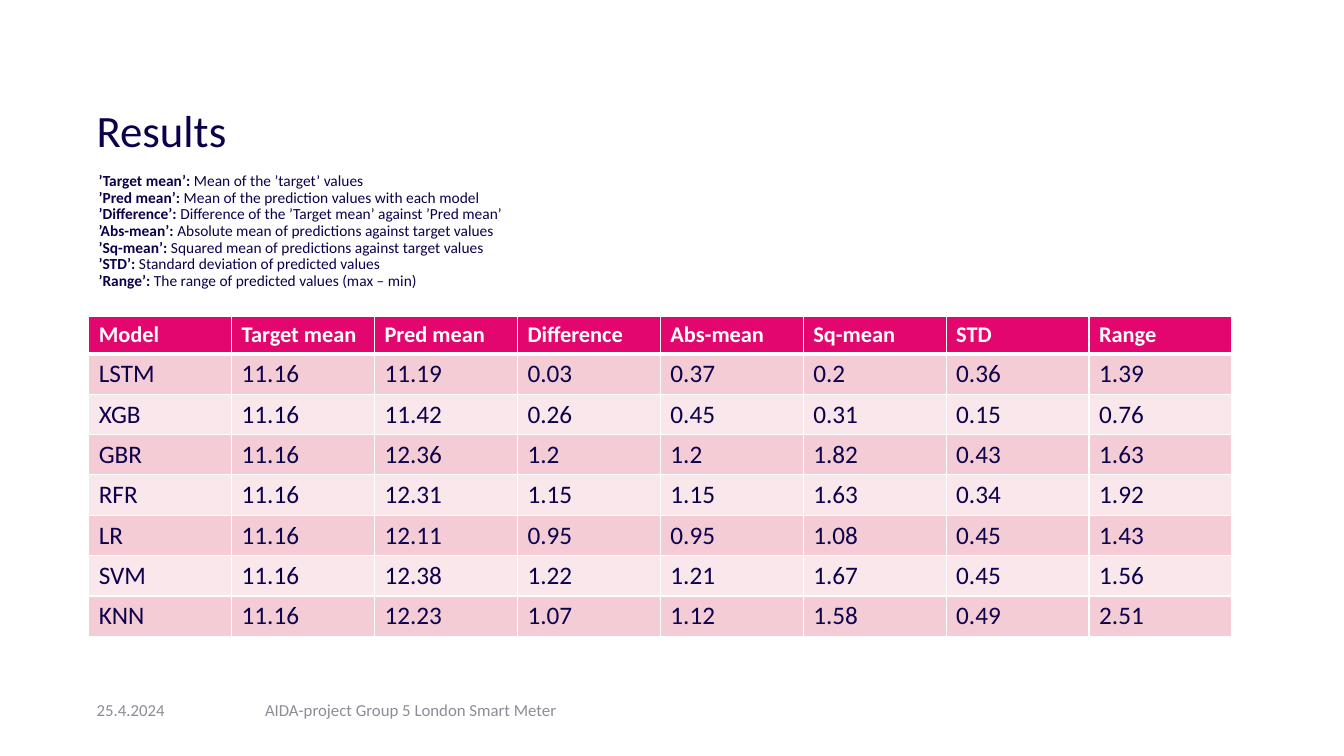
"""Build the results slide comparing the prediction models."""
from dataclasses import dataclass
from typing import NamedTuple

from lxml import etree
from pptx import Presentation
from pptx import util as u
from pptx.dml.color import RGBColor
from pptx.enum import text
from pptx.oxml import ns

NAVY = RGBColor(0x0D, 0x00, 0x4B)
GREY = RGBColor(0x8C, 0x8C, 0x96)
WHITE = RGBColor(0xFF, 0xFF, 0xFF)
MAGENTA = RGBColor(0xE2, 0x06, 0x6E)
ROSE = RGBColor(0xF4, 0xCC, 0xD5)
BLUSH = RGBColor(0xFA, 0xE7, 0xEB)
FONT = "Calibri"


@dataclass(frozen=True)
class Style:
    size: int
    color: RGBColor
    bold: bool = False


class Box(NamedTuple):
    left: float
    top: float
    width: float
    height: float


class Label(NamedTuple):
    wording: str
    box: Box
    style: Style
    line_spacing: float


class Definition(NamedTuple):
    term: str
    meaning: str


TITLE = Style(32, NAVY)
TERM = Style(11, NAVY, bold=True)
MEANING = Style(11, NAVY)
FOOTER = Style(12, GREY)
HEADING = Style(16, WHITE, bold=True)
VALUE = Style(18, NAVY)

LABELS = [
    Label("Results", Box(0.86, 0.96, 11.5, 0.71), TITLE, 0.9),
    Label("25.4.2024", Box(0.86, 6.82, 1.59, 0.44), FOOTER, 1.0),
    Label("AIDA-project Group 5 London Smart Meter", Box(2.53, 6.82, 6.09, 0.44), FOOTER, 1.0),
]

DEFINITIONS_BOX = Box(0.88, 1.67, 11.5, 4.63)
DEFINITIONS = [
    Definition("Target mean", "Mean of the ’target’ values"),
    Definition("Pred mean", "Mean of the prediction values with each model"),
    Definition("Difference", "Difference of the ’Target mean’ against ’Pred mean’"),
    Definition("Abs-mean", "Absolute mean of predictions against target values"),
    Definition("Sq-mean", "Squared mean of predictions against target values"),
    Definition("STD", "Standard deviation of predicted values"),
    Definition("Range", "The range of predicted values (max – min)"),
]

SCORES_BOX = Box(0.88, 3.14, 11.34, 3.17)
HEADING_HEIGHT = 0.37
MODEL_HEIGHT = 0.4
SCORES = [
    ["Model"] + [definition.term for definition in DEFINITIONS],
    ["LSTM", "11.16", "11.19", "0.03", "0.37", "0.2", "0.36", "1.39"],
    ["XGB", "11.16", "11.42", "0.26", "0.45", "0.31", "0.15", "0.76"],
    ["GBR", "11.16", "12.36", "1.2", "1.2", "1.82", "0.43", "1.63"],
    ["RFR", "11.16", "12.31", "1.15", "1.15", "1.63", "0.34", "1.92"],
    ["LR", "11.16", "12.11", "0.95", "0.95", "1.08", "0.45", "1.43"],
    ["SVM", "11.16", "12.38", "1.22", "1.21", "1.67", "0.45", "1.56"],
    ["KNN", "11.16", "12.23", "1.07", "1.12", "1.58", "0.49", "2.51"],
]


def inches(box: Box) -> list[u.Length]:
    return [u.Inches(length) for length in box]


def add_run(paragraph, wording: str, style: Style) -> None:
    run = paragraph.add_run()
    run.text = wording
    run.font.name = FONT
    run.font.size = u.Pt(style.size)
    run.font.bold = style.bold
    run.font.color.rgb = style.color


def add_paragraph_box(slide, box: Box, anchor: text.MSO_ANCHOR, line_spacing: float):
    frame = slide.shapes.add_textbox(*inches(box)).text_frame
    frame.word_wrap = True
    frame.vertical_anchor = anchor
    paragraph = frame.paragraphs[0]
    paragraph.line_spacing = line_spacing
    return paragraph


def add_label(slide, label: Label) -> None:
    paragraph = add_paragraph_box(slide, label.box, text.MSO_ANCHOR.MIDDLE, label.line_spacing)
    add_run(paragraph, label.wording, label.style)


def add_definitions(slide) -> None:
    paragraph = add_paragraph_box(slide, DEFINITIONS_BOX, text.MSO_ANCHOR.TOP, 0.9)
    for index, definition in enumerate(DEFINITIONS):
        if index:
            paragraph.add_line_break()
        add_run(paragraph, f"’{definition.term}’: ", TERM)
        add_run(paragraph, definition.meaning, MEANING)


def add_borders(cell, top: int, bottom: int) -> None:
    properties = cell._tc.get_or_add_tcPr()
    for side, points in {"lnL": 1, "lnR": 1, "lnT": top, "lnB": bottom}.items():
        line = etree.SubElement(properties, ns.qn(f"a:{side}"), w=str(u.Pt(points)))
        fill = etree.SubElement(line, ns.qn("a:solidFill"))
        etree.SubElement(fill, ns.qn("a:srgbClr"), val=str(WHITE))


def add_scores(slide) -> None:
    scores = slide.shapes.add_table(len(SCORES), len(SCORES[0]), *inches(SCORES_BOX)).table
    for column in scores.columns:
        column.width = u.Inches(SCORES_BOX.width / len(SCORES[0]))
    for row, values in enumerate(SCORES):
        is_heading = row == 0
        scores.rows[row].height = u.Inches(HEADING_HEIGHT if is_heading else MODEL_HEIGHT)
        band = MAGENTA if is_heading else (BLUSH, ROSE)[row % 2]
        for column, value in enumerate(values):
            cell = scores.cell(row, column)
            add_borders(cell, top=3 if row == 1 else 1, bottom=3 if is_heading else 1)
            cell.fill.solid()
            cell.fill.fore_color.rgb = band
            add_run(cell.text_frame.paragraphs[0], value, HEADING if is_heading else VALUE)


def main() -> None:
    deck = Presentation()
    deck.slide_width = u.Inches(13.33)
    deck.slide_height = u.Inches(7.5)
    slide = deck.slides.add_slide(deck.slide_layouts[6])
    for label in LABELS:
        add_label(slide, label)
    add_definitions(slide)
    add_scores(slide)
    deck.save("out.pptx")


if __name__ == "__main__":
    main()
